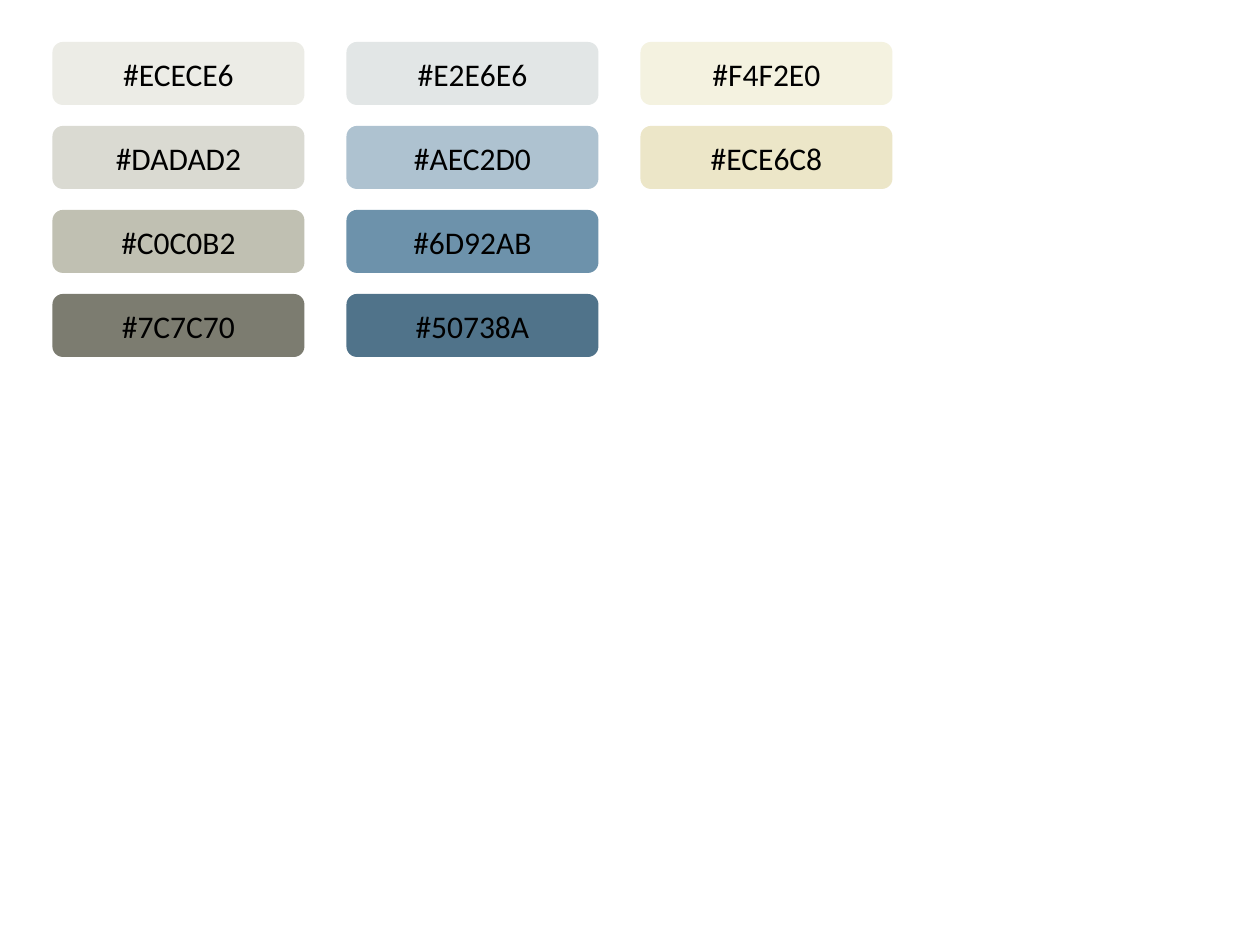
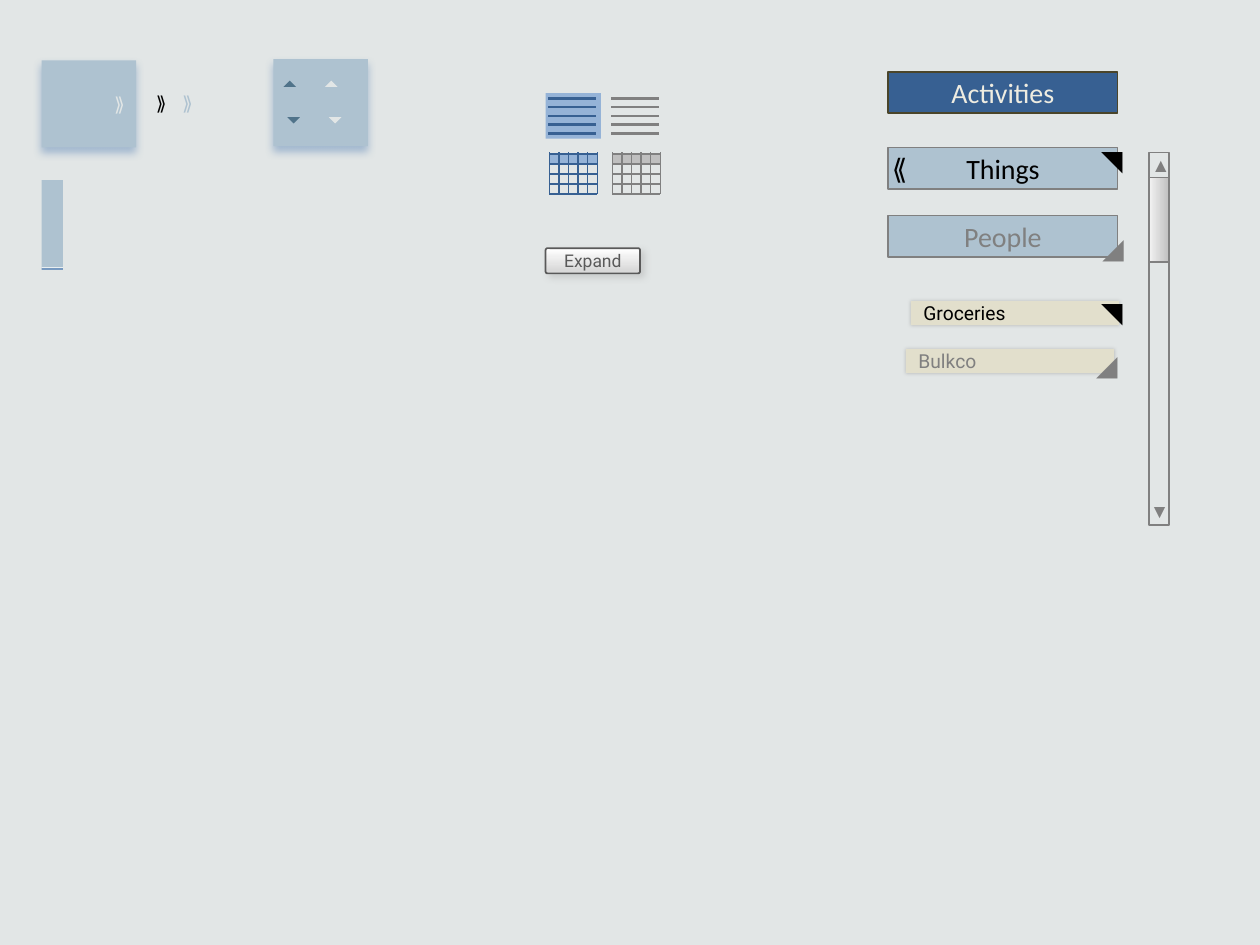
from lxml import etree
from pptx import Presentation
from pptx.dml.color import RGBColor
from pptx.enum import shapes as kinds, text as t
from pptx.oxml.ns import qn
from pptx.util import Inches, Pt

COLORS = {
    "black": "000000", "gray": "808080", "dark_gray": "595959",
    "mid_gray": "BFBFBF", "light_gray": "D9D9D9", "pale_gray": "F2F2F2",
    "shadow_gray": "A6A6A6", "white": "FFFFFF", "mist": "E2E6E6",
    "sky": "AEC2D0", "steel": "50738A", "navy": "376092",
    "header_blue": "95B3D7", "royal": "4172AD", "ice": "E8EEF0",
    "cream": "EEECE1", "sand": "E2DFCC", "olive": "4A452A",
}
RGB = {name: RGBColor.from_string(value) for name, value in COLORS.items()}
SHAPE = kinds.MSO_SHAPE
CENTER, LEFT = t.PP_ALIGN.CENTER, t.PP_ALIGN.LEFT

CARD_SHADOW = ("royal", 5, 3, 90)
ITEM_SHADOW = ("gray", 2, 0, 90)
BUTTON_SHADOW = ("shadow_gray", 4, 3, 45)


def add_box(slide, kind, at, fill=None, line=None, width=1, shadow=None):
    box = slide.shapes.add_shape(kind, *[Inches(n) for n in at])
    box.shadow.inherit = False
    if fill:
        box.fill.solid()
        box.fill.fore_color.rgb = fill
    else:
        box.fill.background()
    if line:
        box.line.color.rgb = line
        box.line.width = Pt(width)
    else:
        box.line.fill.background()
    if shadow:
        color, blur, distance, angle = shadow
        effects = box._element.spPr.find(qn("a:effectLst"))
        outer = etree.SubElement(
            effects, qn("a:outerShdw"), blurRad=str(Pt(blur)), dist=str(Pt(distance)),
            dir=str(angle * 60000), algn="tl", rotWithShape="0")
        tint = etree.SubElement(outer, qn("a:srgbClr"), val=COLORS[color])
        etree.SubElement(tint, qn("a:alpha"), val="40000")
    return box


def set_label(shape, label, size, font, color, align=CENTER):
    shape.text_frame.text = label
    shape.text_frame.word_wrap = True
    paragraph = shape.text_frame.paragraphs[0]
    paragraph.alignment = align
    run = paragraph.runs[0]
    run.font.size = Pt(size)
    run.font.name = font
    run.font.color.rgb = color


deck = Presentation()
deck.slide_width, deck.slide_height = Inches(10), Inches(7.5)
blank = deck.slide_layouts[6]

palette = deck.slides.add_slide(blank)
families = [
    ["ECECE6", "DADAD2", "C0C0B2", "7C7C70"],
    ["E2E6E6", "AEC2D0", "6D92AB", "50738A"],
    ["F4F2E0", "ECE6C8"],
]
for column, family in enumerate(families):
    for row, code in enumerate(family):
        at = (5 / 12 + column * 7 / 3, (row + 0.5) * 2 / 3, 2, 0.5)
        swatch = add_box(palette, SHAPE.ROUNDED_RECTANGLE, at, RGBColor.from_string(code))
        set_label(swatch, "#" + code, 18, "Calibri", RGB["black"])

controls = deck.slides.add_slide(blank)
controls.background.fill.solid()
controls.background.fill.fore_color.rgb = RGB["mist"]

for top, height, color in [(1.43, 0.7, "sky"), (2.12, 0.01, "ice"), (2.13, 0.01, "royal")]:
    add_box(controls, SHAPE.RECTANGLE, (0.33, top, 0.17, height), RGB[color])
for left, top in [(0.33, 0.48), (2.17, 0.47)]:
    add_box(controls, SHAPE.RECTANGLE, (left, top, 0.75, 0.69), RGB["sky"], shadow=CARD_SHADOW)

for left, color in [(2.25, "steel"), (2.58, "mist")]:
    add_box(controls, SHAPE.ISOSCELES_TRIANGLE, (left, 0.64, 0.1, 0.05), RGB[color])
    down = add_box(controls, SHAPE.ISOSCELES_TRIANGLE, (left + 0.03, 0.93, 0.1, 0.05), RGB[color])
    down.rotation = 180

add_box(controls, SHAPE.RECTANGLE, (4.33, 0.74, 0.44, 0.36), RGB["header_blue"])
rules = []
for left, color, header in [(4.35, "navy", "header_blue"), (4.85, "gray", "mid_gray")]:
    grid_left = left + 0.01
    add_box(controls, SHAPE.RECTANGLE, (grid_left, 1.22, 0.38, 0.08), RGB[header])
    for row in range(5):
        list_y, grid_y = 0.78 + row * 0.07, 1.22 + row * 0.08
        rules.append((left, list_y, left + 0.38, list_y, color, 1.5))
        rules.append((grid_left, grid_y, grid_left + 0.38, grid_y, color, 1))
    for column in range(6):
        x = grid_left + column * 0.38 / 5
        rules.append((x, 1.21, x, 1.54, color, 0.75))
for *ends, color, width in rules:
    rule = controls.shapes.add_connector(
        kinds.MSO_CONNECTOR.STRAIGHT, *[Inches(n) for n in ends])
    rule.line.color.rgb = RGB[color]
    rule.line.width = Pt(width)
    etree.SubElement(rule._element.spPr, qn("a:effectLst"))

expand = add_box(controls, SHAPE.ROUNDED_RECTANGLE, (4.33, 1.97, 0.75, 0.2),
                 line=RGB["dark_gray"], shadow=BUTTON_SHADOW)
expand.adjustments[0] = 0.08
set_label(expand, "Expand", 10, "Roboto", RGB["dark_gray"])

for label, top, fill, line, color in [
    ("Activities", 0.57, "navy", "olive", "cream"),
    ("Things", 1.17, "sky", "gray", "black"),
    ("People", 1.71, "sky", "gray", "gray"),
]:
    heading = add_box(controls, SHAPE.RECTANGLE, (7.05, top, 1.82, 0.33), RGB[fill], RGB[line])
    set_label(heading, label, 16, "Calibri", RGB[color])

for label, left, top, color in [
    ("Groceries", 7.23, 2.39, "black"),
    ("Bulkco", 7.19, 2.77, "gray"),
]:
    item = add_box(controls, SHAPE.RECTANGLE, (left, top, 1.65, 0.19), RGB["sand"],
                   shadow=ITEM_SHADOW)
    set_label(item, label, 11, "Roboto", RGB[color], LEFT)

thumb = add_box(controls, SHAPE.RECTANGLE, (9.12, 1.41, 0.16, 0.67), line=RGB["gray"], width=0.75)
add_box(controls, SHAPE.RECTANGLE, (9.12, 1.21, 0.16, 2.96), line=RGB["gray"])

for shape, angle, start, end, reach in [
    (expand, 270, "white", "light_gray", 0.88),
    (thumb, 0, "pale_gray", "mid_gray", 1),
]:
    shape.fill.gradient()
    shape.fill.gradient_angle = angle
    first, last = shape.fill.gradient_stops
    first.color.rgb, first.position = RGB[start], 0
    last.color.rgb, last.position = RGB[end], reach

for mark, left, top, width, height, size, font, color, turn in [
    ("⟪", 6.98, 1.15, 0.42, 0.37, 16, "Calibri", "black", 0),
    ("◥", 8.64, 1.08, 0.42, 0.37, 16, "Calibri", "black", 0),
    ("◢", 8.65, 1.78, 0.42, 0.37, 16, "Calibri", "gray", 0),
    ("◥", 8.64, 2.29, 0.42, 0.37, 16, "Calibri", "black", 0),
    ("◢", 8.6, 2.71, 0.42, 0.37, 16, "Calibri", "gray", 0),
    ("▲", 9.04, 1.17, 0.42, 0.29, 11, "Arial", "gray", 0),
    ("▼", 9.03, 3.91, 0.42, 0.29, 11, "Arial", "gray", 0),
    ("⟪", 0.81, 0.7, 0.28, 0.29, 11, "Calibri", "mist", 180),
    ("⟪", 1.14, 0.69, 0.28, 0.29, 11, "Calibri", "black", 180),
    ("⟪", 1.35, 0.69, 0.28, 0.29, 11, "Calibri", "sky", 180),
]:
    glyph = controls.shapes.add_textbox(*[Inches(n) for n in (left, top, width, height)])
    glyph.rotation = turn
    set_label(glyph, mark, size, font, RGB[color], LEFT)

deck.save("out.pptx")
